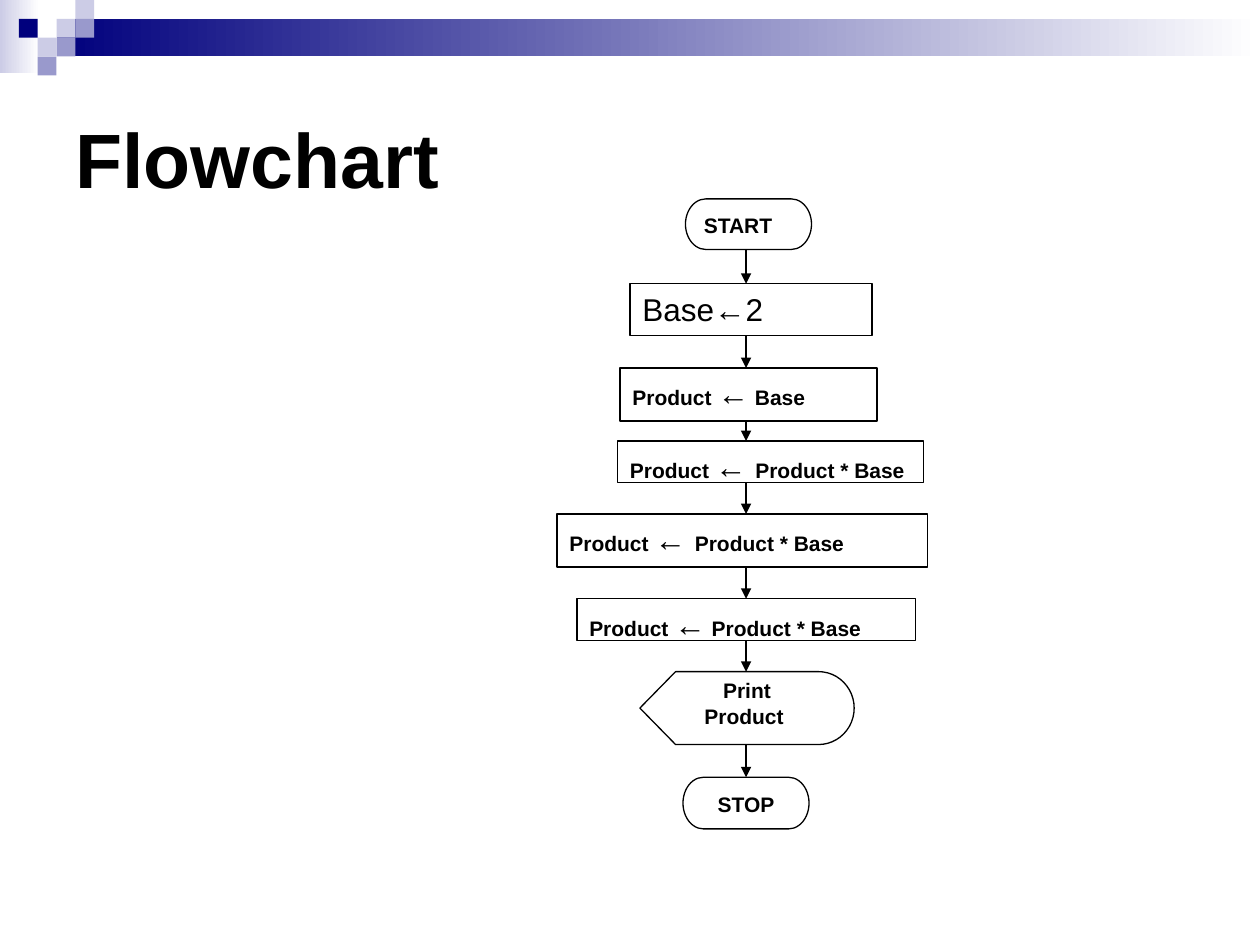
from dataclasses import dataclass
from itertools import pairwise

from lxml import etree
from pptx import Presentation
from pptx.dml.color import RGBColor
from pptx.enum import shapes, text
from pptx.oxml import ns
from pptx.util import Cm, Pt

COLORS = {"ink": "000000", "paper": "FFFFFF", "navy": "00007D",
          "pale": "CCCCE6", "mid": "9999CC"}
FONT = "Arial"
SQUARE = 0.38  # side of one header square, cm
SPINE = 15.04  # x of the arrows, cm
SHAPE = shapes.MSO_SHAPE
LEFT, CENTER = text.PP_ALIGN.LEFT, text.PP_ALIGN.CENTER


@dataclass
class Run:
    text: str
    size: int = 12
    bold: bool = True


@dataclass
class Step:
    left: float
    top: float
    width: float
    height: float
    lines: list[list[Run]]
    kind: int = SHAPE.FLOWCHART_PROCESS
    align: int = LEFT
    filled: bool = True


@dataclass
class Square:
    column: int
    row: int
    color: str


def color(name: str) -> RGBColor:
    return RGBColor.from_string(COLORS[name])


def add_block(slide, kind, left: float, top: float, width: float, height: float):
    block = slide.shapes.add_shape(kind, Cm(left), Cm(top), Cm(width), Cm(height))
    block.shadow.inherit = False
    return block


def add_band(slide, start: str, left: float, top: float, width: float, height: float) -> None:
    """Header rectangle fading to white from left to right."""
    band = add_block(slide, SHAPE.RECTANGLE, left, top, width, height)
    band.line.fill.background()
    band.fill.gradient()
    band.fill.gradient_angle = 0
    for stop, name in zip(band.fill.gradient_stops, (start, "paper")):
        stop.color.rgb = color(name)


def add_square(slide, square: Square) -> None:
    tile = add_block(slide, SHAPE.RECTANGLE, square.column * SQUARE,
                     square.row * SQUARE, SQUARE, SQUARE)
    tile.line.fill.background()
    tile.fill.solid()
    tile.fill.fore_color.rgb = color(square.color)


def add_run(paragraph, run: Run) -> None:
    piece = paragraph.add_run()
    piece.text = run.text
    piece.font.name = FONT
    piece.font.size = Pt(run.size)
    piece.font.bold = run.bold
    piece.font.color.rgb = color("ink")


def add_step(slide, step: Step) -> None:
    block = add_block(slide, step.kind, step.left, step.top, step.width, step.height)
    if step.filled:
        block.fill.solid()
        block.fill.fore_color.rgb = color("paper")
    else:
        block.fill.background()
    block.line.color.rgb = color("ink")
    block.line.width = Pt(0.75)
    frame = block.text_frame
    frame.word_wrap = True
    frame.vertical_anchor = text.MSO_ANCHOR.TOP
    for number, line in enumerate(step.lines):
        paragraph = frame.add_paragraph() if number else frame.paragraphs[0]
        paragraph.alignment = step.align
        for run in line:
            add_run(paragraph, run)


def add_arrow(slide, upper: Step, lower: Step) -> None:
    arrow = slide.shapes.add_connector(
        shapes.MSO_CONNECTOR.STRAIGHT, Cm(SPINE), Cm(upper.top + upper.height),
        Cm(SPINE), Cm(lower.top))
    arrow.line.color.rgb = color("ink")
    arrow.line.width = Pt(0.75)
    properties = arrow.line._get_or_add_ln()
    etree.SubElement(properties, ns.qn("a:tailEnd"), type="triangle")
    etree.SubElement(properties.getparent(), ns.qn("a:effectLst"))


def add_title(slide, wording: str) -> None:
    title = slide.shapes.title
    title.left, title.top, title.width, title.height = Cm(1.27), Cm(1.27), Cm(22.86), Cm(3.81)
    frame = title.text_frame
    frame.auto_size = text.MSO_AUTO_SIZE.NONE
    frame.vertical_anchor = text.MSO_ANCHOR.MIDDLE
    frame.paragraphs[0].alignment = LEFT
    add_run(frame.paragraphs[0], Run(wording, 44))


def assign(arrow: str, value: str) -> list[list[Run]]:
    return [[Run("Product "), Run(arrow, 18, False), Run(value)]]


SQUARES = [
    Square(3, 1, "pale"), Square(4, 0, "pale"), Square(4, 1, "mid"),
    Square(2, 2, "pale"), Square(1, 1, "navy"), Square(3, 2, "mid"),
    Square(2, 3, "mid"),
]

STEPS = [
    Step(13.82, 4.01, 2.54, 1.02, [[Run("START")]], SHAPE.FLOWCHART_TERMINATOR),
    Step(12.7, 5.72, 4.88, 1.04, [[Run("Base←2", 18, False)]], SHAPE.RECTANGLE, filled=False),
    Step(12.5, 7.42, 5.18, 1.07, assign("←", " Base")),
    Step(12.45, 8.89, 6.17, 0.84, assign("← ", "Product * Base")),
    Step(11.23, 10.36, 7.47, 1.07, assign("← ", "Product * Base")),
    Step(11.63, 12.07, 6.83, 0.84, assign("←", " Product * Base")),
    Step(12.9, 13.54, 4.32, 1.47, [[Run("Print")], [Run("Product ")]],
         SHAPE.FLOWCHART_DISPLAY, CENTER),
    Step(13.77, 15.67, 2.54, 1.04, [[Run("STOP")]], SHAPE.FLOWCHART_TERMINATOR, CENTER),
]


def main() -> None:
    deck = Presentation()
    deck.slide_width, deck.slide_height = Cm(25.4), Cm(19.05)
    slide = deck.slides.add_slide(deck.slide_layouts[5])
    add_band(slide, "pale", 0, 0, 0.79, 1.47)
    add_band(slide, "navy", 3 * SQUARE, SQUARE, 24.26, 2 * SQUARE)
    for square in SQUARES:
        add_square(slide, square)
    add_title(slide, "Flowchart")
    for step in STEPS:
        add_step(slide, step)
    for upper, lower in pairwise(STEPS):
        add_arrow(slide, upper, lower)
    deck.save("out.pptx")


if __name__ == "__main__":
    main()
